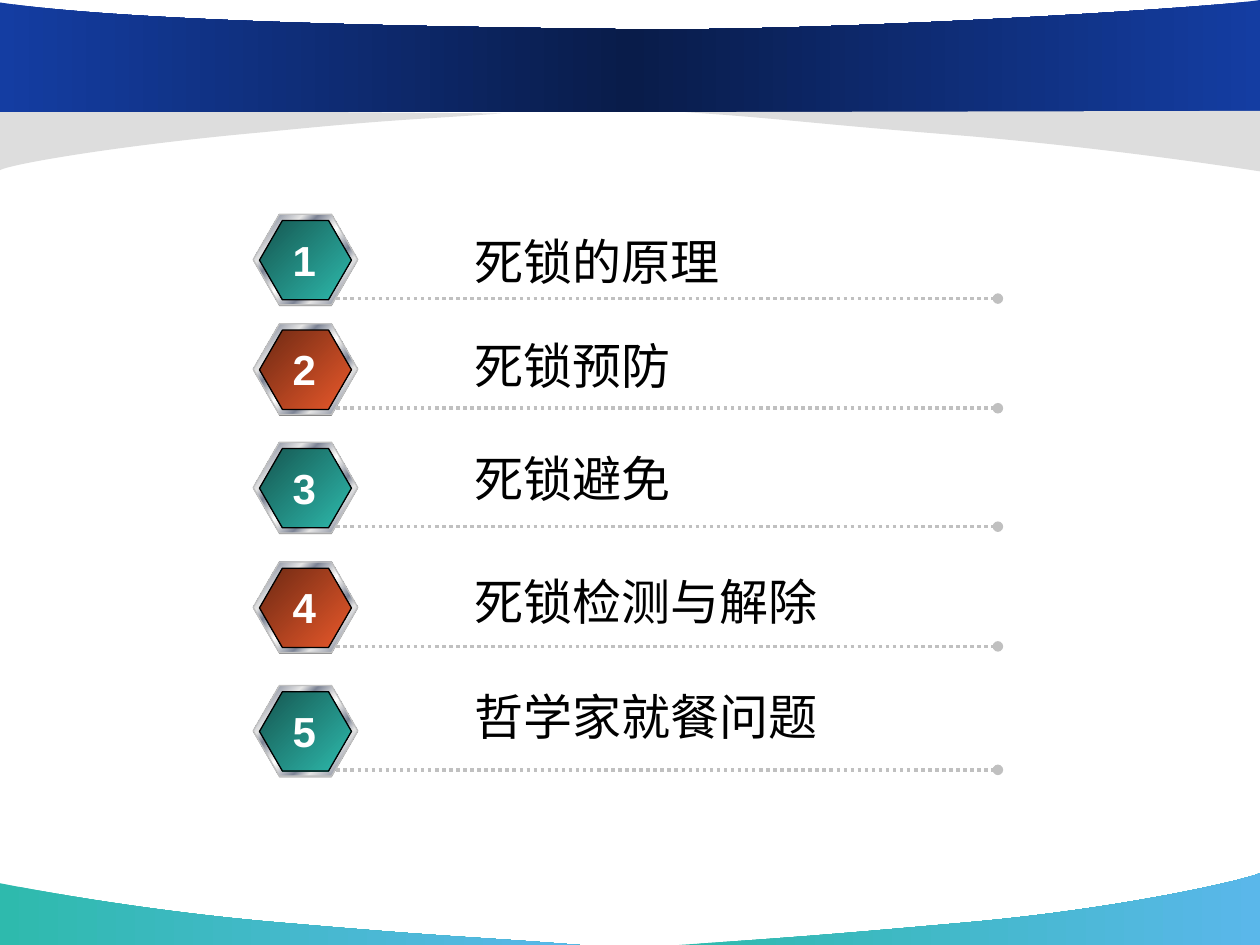
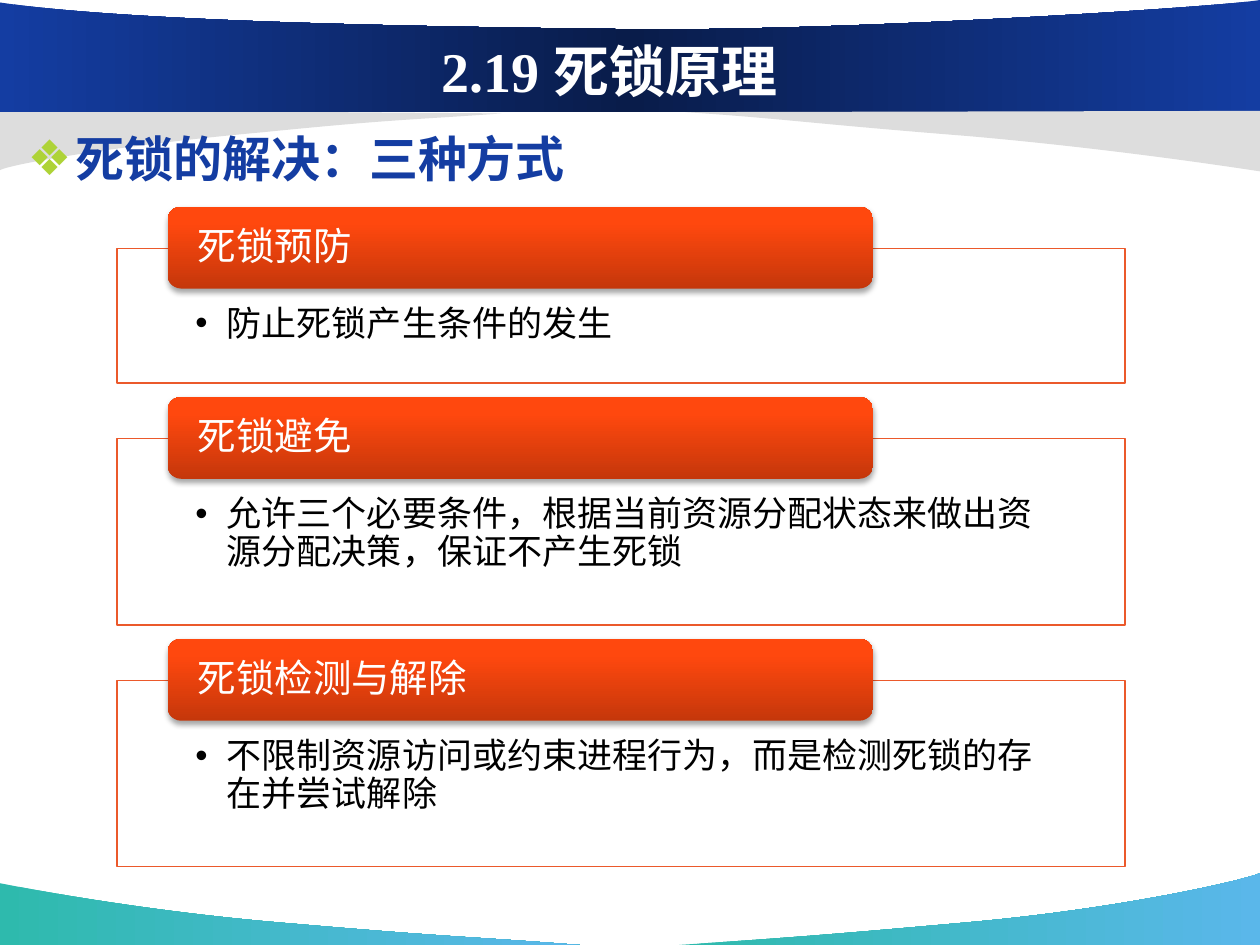
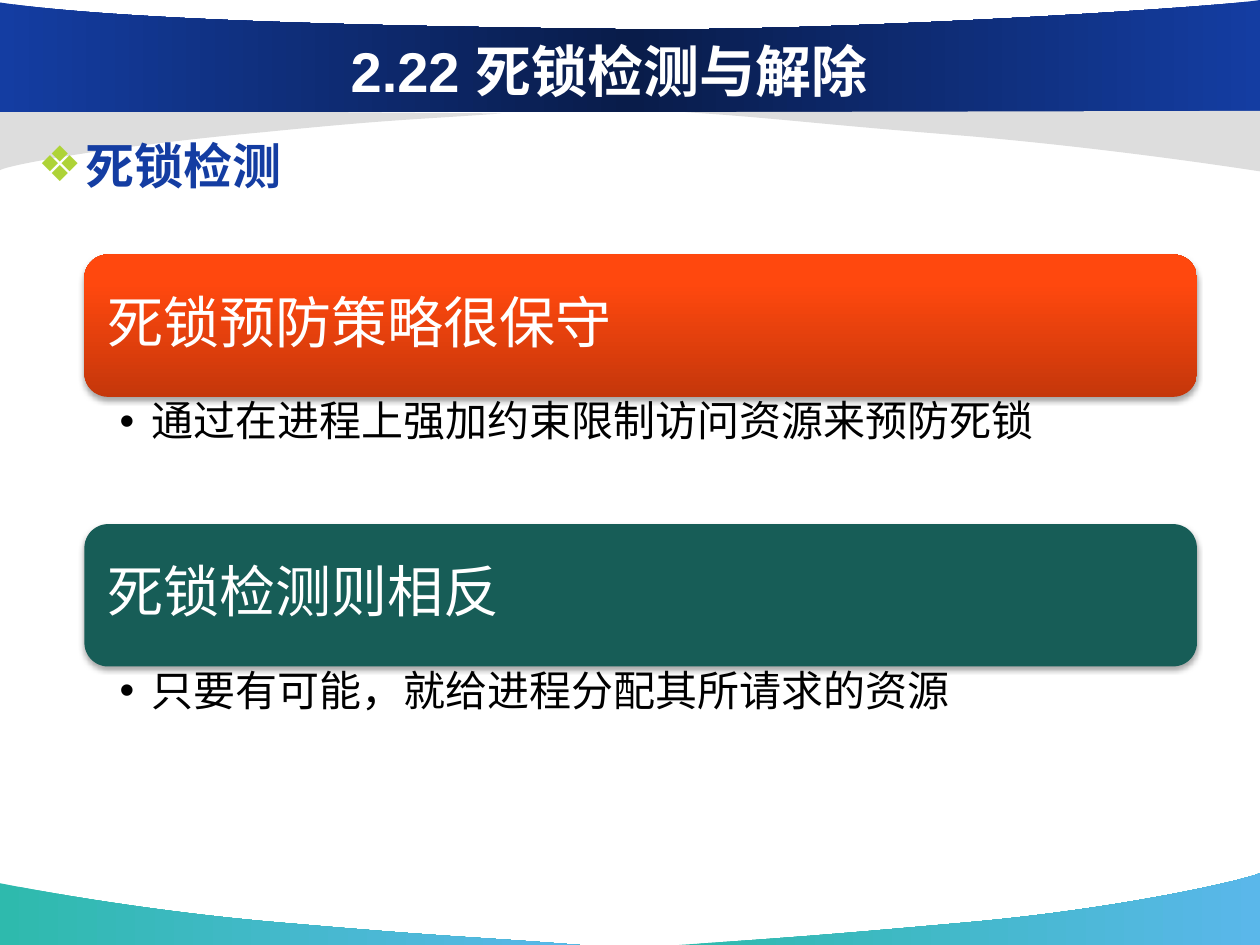
from lxml import etree
from pptx import Presentation
from pptx.dml.color import RGBColor
from pptx.enum.dml import MSO_LINE
from pptx.enum.shapes import MSO_CONNECTOR, MSO_SHAPE
from pptx.enum.text import MSO_ANCHOR, MSO_AUTO_SIZE, PP_ALIGN
from pptx.oxml.ns import qn
from pptx.util import Inches, Pt

HEXAGON, RECTANGLE, ROUNDED = MSO_SHAPE.HEXAGON, MSO_SHAPE.RECTANGLE, MSO_SHAPE.ROUNDED_RECTANGLE
STRAIGHT, DOTTED = MSO_CONNECTOR.STRAIGHT, MSO_LINE.ROUND_DOT
TOP, MIDDLE = MSO_ANCHOR.TOP, MSO_ANCHOR.MIDDLE
LEFT, CENTER = PP_ALIGN.LEFT, PP_ALIGN.CENTER
FIXED, GROW = MSO_AUTO_SIZE.NONE, MSO_AUTO_SIZE.SHAPE_TO_FIT_TEXT

BLACK, WHITE, BLUE = "000000", "FFFFFF", "143DA2"
TEAL, DARK_TEAL, ORANGE = "2EBAAD", "175D57", "EB592B"
SILVER, GREY, LIGHT_GREY, LIME = "C0C0C0", "808080", "DDDDDD", "AED337"
SHADE = 46275
STEEL, BRIGHT = "7D8496", "E6E6E6"
METAL = (45, [(0, BRIGHT), (8, STEEL), (26, BRIGHT), (34, STEEL), (46, BRIGHT), (50, WHITE),
              (54, BRIGHT), (66, STEEL), (74, BRIGHT), (92, STEEL), (100, BRIGHT)])
GLOSSY_ORANGE = (270, [(0, "C5370B"), (80, "FF480E"), (100, "FF4910")])
FOOTER_WASH = (0, [(0, TEAL), (100, "5AB7EA")])
HEADER_WASH = (0, [(0, BLUE), (50, BLUE, SHADE), (100, BLUE)])

BANDS = [
    (FOOTER_WASH, (4.6, 7.5), [(3.84, 7.44, 3.58, 7.44, 2.32, 7.33),
                               (1.06, 7.23, 0.01, 7.01, 0, 7.01), (0, 7.5)]),
    (FOOTER_WASH, (5.39, 7.5), [(6.14, 7.45, 6.46, 7.43, 7.69, 7.32),
                                (8.92, 7.21, 9.9, 6.98, 10, 6.93), (10, 7.5)]),
    (LIGHT_GREY, (3.98, 0.9), [(3.31, 0.95, 3.18, 0.94, 2.08, 1.05),
                               (0.97, 1.15, 0.09, 1.3, 0, 1.35), (0, 0.87)]),
    (HEADER_WASH, (0, 0.89), [(10, 0.89), (10, 0), (9.64, 0.06, 6.53, 0.26, 4.87, 0.23),
                              (3.21, 0.21, 1.01, 0.17, 0, 0.02)]),
    (LIGHT_GREY, (5.44, 0.89), [(6.2, 0.94, 6.42, 0.98, 7.68, 1.08),
                                (8.94, 1.19, 9.99, 1.36, 10, 1.36), (10, 0.88)]),
]
AGENDA = [
    (1.7, 1.79, "死锁的原理"),
    (2.57, 2.61, "死锁预防"),
    (3.51, 3.51, "死锁避免"),
    (4.46, 4.49, "死锁检测与解除"),
    (5.44, 5.4, "哲学家就餐问题"),
]
SOLUTIONS = [
    (1.07, "死锁预防", "防止死锁产生条件的发生"),
    (1.48, "死锁避免", "允许三个必要条件，根据当前资源分配状态来做出资源分配决策，保证不产生死锁"),
    (1.48, "死锁检测与解除", "不限制资源访问或约束进程行为，而是检测死锁的存在并尝试解除"),
]
COMPARISON = [
    (GLOSSY_ORANGE, "死锁预防策略很保守", "通过在进程上强加约束限制访问资源来预防死锁"),
    (DARK_TEAL, "死锁检测则相反", "只要有可能，就给进程分配其所请求的资源"),
]


def rgb(color):
    """Turn a hex string into a colour."""
    return RGBColor.from_string(color)


def add_node(parent, tag, **attributes):
    """Append a DrawingML element with the given attributes."""
    node = etree.SubElement(parent, qn(f"a:{tag}"))
    for key, value in attributes.items():
        node.set(key, str(value))
    return node


def paint(shape, fill, line=None):
    """Give a shape a solid or gradient fill, a thin outline or none, and no shadow."""
    shape.shadow.inherit = False
    if isinstance(fill, str):
        shape.fill.solid()
        shape.fill.fore_color.rgb = rgb(fill)
    else:
        angle, stops = fill
        shape.fill.gradient()
        shape.fill.gradient_angle = (360 - angle) % 360
        stop_list = shape.element.spPr.find(f".//{qn('a:gsLst')}")
        for old_stop in list(stop_list):
            stop_list.remove(old_stop)
        for position, color, *shade in stops:
            color_node = add_node(add_node(stop_list, "gs", pos=position * 1000), "srgbClr", val=color)
            for value in shade:
                add_node(color_node, "gamma")
                add_node(color_node, "shade", val=value)
                add_node(color_node, "invGamma")
    if line:
        shape.line.color.rgb = rgb(line)
        shape.line.width = Pt(0.75)
    else:
        shape.line.fill.background()


def add_figure(slide, kind, box, fill, line=None):
    """Add a painted preset shape."""
    figure = slide.shapes.add_shape(kind, *map(Inches, box))
    paint(figure, fill, line)
    return figure


def cast_shadow(shape):
    """Put a soft shadow below a shape."""
    effects = shape.element.spPr.find(qn("a:effectLst"))
    shadow = add_node(effects, "outerShdw", blurRad=Pt(3.1), dist=Pt(1.8), dir=5400000, rotWithShape=0)
    add_node(add_node(shadow, "srgbClr", val=BLACK), "alpha", val=35000)


def write(frame, text, size, color, bold=False, font="Arial", align=LEFT, spacing=None):
    """Set the single paragraph of a text frame and format it."""
    frame.text = text
    paragraph = frame.paragraphs[0]
    paragraph.alignment = align
    paragraph.space_before = Pt(0)
    if spacing:
        paragraph.line_spacing = spacing
    style = paragraph.runs[0].font
    style.name, style.size, style.bold = font, Pt(size), bold
    style.color.rgb = rgb(color)
    return paragraph


def add_bullet(paragraph, symbol, indent, color):
    """Give a paragraph a hanging bullet."""
    properties = paragraph._p.get_or_add_pPr()
    properties.set("marL", str(Inches(indent)))
    properties.set("indent", str(-Inches(indent)))
    add_node(add_node(properties, "buClr"), "srgbClr", val=color)
    add_node(properties, "buFont", typeface="Arial")
    add_node(properties, "buChar", char=symbol)


def add_text(slide, box, text, size, color, insets=(0.1, 0.05, 0.1, 0.05), anchor=TOP,
             wrap=True, sizing=FIXED, **style):
    """Add a text box with one paragraph and return the paragraph."""
    frame = slide.shapes.add_textbox(*map(Inches, box)).text_frame
    frame.word_wrap = wrap
    frame.auto_size = sizing
    frame.vertical_anchor = anchor
    frame.margin_left, frame.margin_top, frame.margin_right, frame.margin_bottom = map(Inches, insets)
    return write(frame, text, size, color, **style)


def add_point(slide, box, text, size, insets):
    """Add a black second-level bullet."""
    point = add_text(slide, box, text, size, BLACK, insets, spacing=0.9)
    point.level = 1
    add_bullet(point, "•", 0.25, BLACK)


def to_emu(numbers):
    """Pair up a flat run of inch coordinates as points."""
    return [(Inches(x), Inches(y)) for x, y in zip(numbers[::2], numbers[1::2])]


def add_outline(slide, start, segments):
    """Add a closed freeform of lines and cubic curves."""
    builder = slide.shapes.build_freeform(*to_emu(start)[0])
    builder.add_line_segments([to_emu(segment)[-1] for segment in segments], close=True)
    outline = builder.convert_to_shape()
    edges = list(outline.element.spPr.iter(qn("a:lnTo")))
    for edge, segment in zip(edges, segments):
        if len(segment) == 6:
            curve = add_node(edge.getparent(), "cubicBezTo")
            for x, y in to_emu(segment):
                add_node(curve, "pt", x=x - outline.left, y=y - outline.top)
            edge.getparent().replace(edge, curve)
    return outline


def add_bands(master, slide):
    """Draw the curved bands on a slide and move them to the back of the master."""
    for index, (fill, start, segments) in enumerate(BANDS):
        band = add_outline(slide, start, segments)
        paint(band, fill)
        band.element.nvSpPr.cNvPr.set("id", str(100 + index))
        master.shapes.element.insert(2 + index, band.element)


def place(placeholder, box):
    """Move a placeholder and return its text frame at full text size."""
    placeholder.left, placeholder.top, placeholder.width, placeholder.height = map(Inches, box)
    placeholder.text_frame.auto_size = FIXED
    return placeholder.text_frame


def add_topic_slide(deck, title, heading, left, top, font="Arial"):
    """Add a slide with a white title and a blue heading."""
    slide = deck.slides.add_slide(deck.slide_layouts[1])
    title_frame = place(slide.shapes.title, (0.92, 0.25, 7.83, 0.62))
    title_frame.vertical_anchor = MIDDLE
    write(title_frame, title, 32, WHITE, bold=True, font=font, align=CENTER)
    heading_frame = place(slide.placeholders[1], (left, top, 9, 0.61))
    add_bullet(write(heading_frame, heading, 28, BLUE, bold=True, spacing=1.2), "❖", 0.38, LIME)
    return slide


def add_agenda_row(slide, left, top, label_top, number, label):
    """Add a numbered hexagon, its dotted rule and its label."""
    accent = TEAL if number % 2 else ORANGE
    face = (45, [(0, accent, SHADE), (100, accent)])
    for box, fill, line in [
        ((left, top + 0.01, 0.83, 0.72), GREY, None),
        ((left, top, 0.83, 0.72), METAL, SILVER),
        ((left + 0.05, top + 0.05, 0.73, 0.63), face, BLACK),
    ]:
        add_figure(slide, HEXAGON, box, fill, line).adjustments[0] = 0.289
    rule_y = Inches(top + 0.67)
    rule = slide.shapes.add_connector(STRAIGHT, Inches(left + 0.66), rule_y, Inches(left + 5.91), rule_y)
    rule.line.color.rgb = rgb(SILVER)
    rule.line.width = Pt(2)
    rule.line.dash_style = DOTTED
    add_node(rule.element.spPr.find(qn("a:ln")), "tailEnd", type="oval")
    add_node(rule.element.spPr, "effectLst")
    add_text(slide, (left + 1.66, label_top, 4.63, 0.57), label, 28, BLACK, sizing=GROW)
    add_text(slide, (left + 0.21, top + 0.11, 0.39, 0.5), str(number), 24, WHITE,
             wrap=False, sizing=GROW, bold=True, align=CENTER)


def add_solution(slide, left, top, height, name, detail):
    """Add an outlined panel with a header bar across its top edge."""
    box = (left, top, 8, height)
    panel = add_figure(slide, RECTANGLE, box, WHITE, ORANGE)
    add_node(panel.element.spPr.find(f"{qn('a:solidFill')}/{qn('a:srgbClr')}"), "alpha", val=90000)
    add_point(slide, box, detail, 20, (0.62, 0.46, 0.62, 0))
    cast_shadow(add_figure(slide, ROUNDED, (left + 0.4, top - 0.33, 5.6, 0.65), GLOSSY_ORANGE))
    add_text(slide, (left + 0.43, top - 0.29, 5.54, 0.58), name, 22, WHITE,
             (0.21, 0, 0.21, 0), MIDDLE, spacing=0.9)


def add_comparison(slide, left, top, fill, claim, reason):
    """Add a wide bar with a bullet below it."""
    width, height = 8.83, 1.13
    cast_shadow(add_figure(slide, ROUNDED, (left, top, width, height), fill))
    add_text(slide, (left + 0.05, top + 0.05, width - 0.11, height - 0.11), claim, 32, WHITE,
             (0.13,) * 4, MIDDLE, spacing=0.9)
    add_point(slide, (left, top + height, width, 1), reason, 24, (0.28, 0.03, 0.19, 0.03))


def main():
    """Build and save the deck."""
    deck = Presentation()
    deck.slide_width, deck.slide_height = Inches(10), Inches(7.5)

    agenda = deck.slides.add_slide(deck.slide_layouts[6])
    add_bands(deck.slide_master, agenda)
    for number, (top, label_top, label) in enumerate(AGENDA, 1):
        add_agenda_row(agenda, 2.01, top, label_top, number, label)

    principles = add_topic_slide(deck, "2.19 死锁原理", "死锁的解决：三种方式", 0.12, 0.88, "Times New Roman")
    top = 1.97
    for height, name, detail in SOLUTIONS:
        add_solution(principles, 0.93, top, height, name, detail)
        top += height + 0.44

    detection = add_topic_slide(deck, "2.22 死锁检测与解除", "死锁检测", 0.2, 0.93)
    for index, entry in enumerate(COMPARISON):
        add_comparison(detection, 0.67, 2.02 + 2.14 * index, *entry)

    deck.save("out.pptx")


if __name__ == "__main__":
    main()
